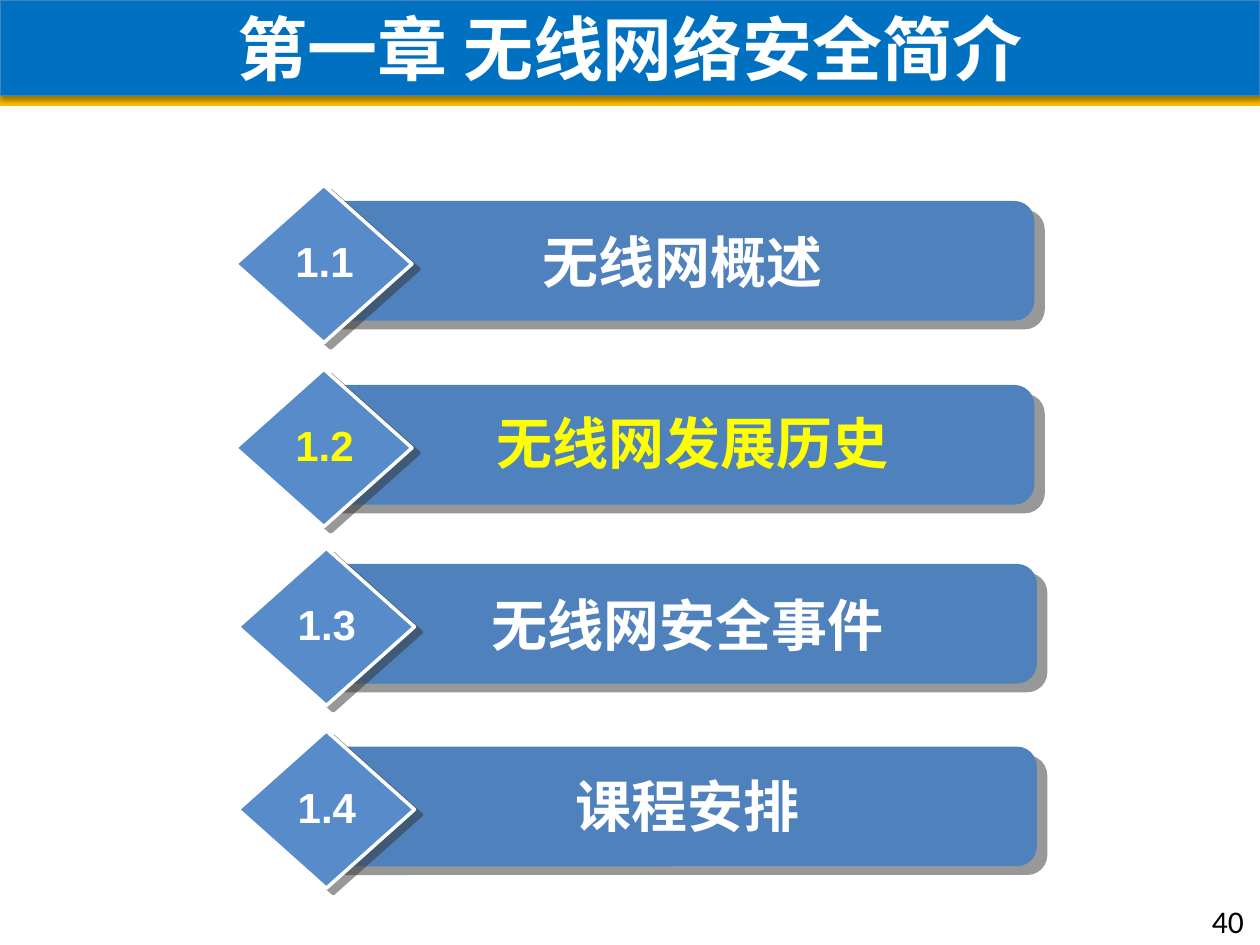
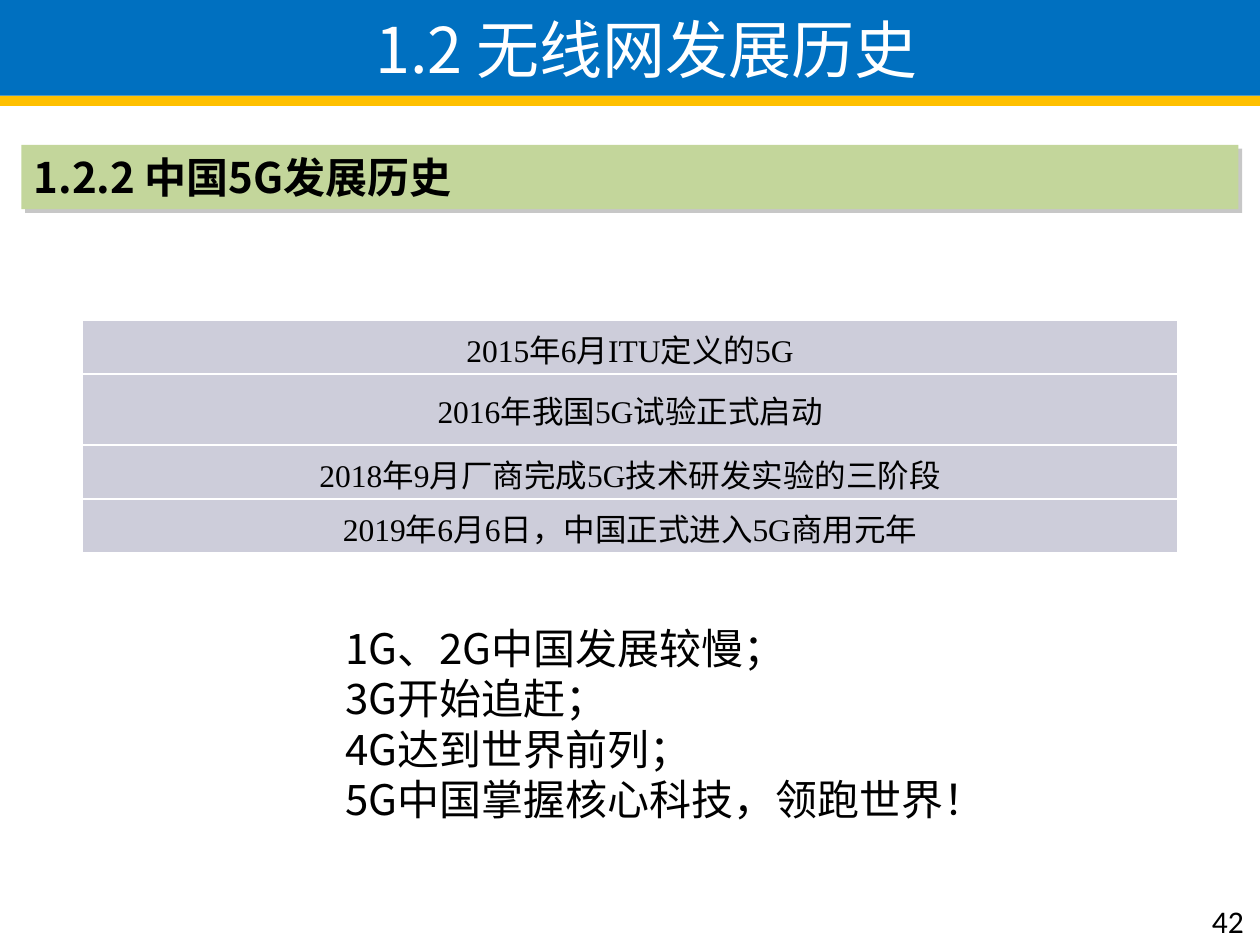
import pptx
import pptx.util
import pptx.dml.color
import pptx.enum.shapes
import pptx.enum.text
import pptx.oxml
import pptx.oxml.ns

COLORS = {
    "title": "0070C0", "title_edge": "4B7EBC", "band": "FFC000",
    "bar": "4F81BD", "diamond": "578BC9", "heading": "C3D69B",
    "cell": "CDCDDA", "white": "FFFFFF", "black": "000000",
    "current": "FFFF00", "shade": "333333", "gray": "808080",
}
CJK = "Noto Sans CJK SC"
KINDS = pptx.enum.shapes.MSO_SHAPE
ALIGN = pptx.enum.text.PP_ALIGN
MIDDLE = pptx.enum.text.MSO_ANCHOR.MIDDLE
NS = pptx.oxml.ns.nsdecls("a")

deck = pptx.Presentation()
deck.slide_width = pptx.util.Inches(10)
deck.slide_height = pptx.util.Inches(7.5)
COL = deck.slide_width / 100
ROW = deck.slide_height / 75


def write(holder, text, size=18, font=CJK, color="black", bold=False,
          align=ALIGN.LEFT, wrap=True, leading=None):
    frame = holder.text_frame
    frame.word_wrap = wrap
    for index, line in enumerate(text.split("\n")):
        paragraph = frame.paragraphs[0] if index == 0 else frame.add_paragraph()
        paragraph.alignment = align
        if leading:
            paragraph.line_spacing = pptx.util.Pt(leading)
        run = paragraph.add_run()
        run.text = line
        run.font.size = pptx.util.Pt(size)
        run.font.bold = bold
        run.font.name = font
        run.font.color.rgb = pptx.dml.color.RGBColor.from_string(COLORS[color])
        run.font._element.append(pptx.oxml.parse_xml(f'<a:ea {NS} typeface="{CJK}"/>'))


def place(slide, left, top, width, height, kind=None, fill=None, line=None, shadow=None):
    area = [int(v) for v in (left * COL, top * ROW, width * COL, height * ROW)]
    if kind is None:
        return slide.shapes.add_textbox(*area)
    shape = slide.shapes.add_shape(kind, *area)
    shape.fill.solid()
    shape.fill.fore_color.rgb = pptx.dml.color.RGBColor.from_string(COLORS[fill])
    if line:
        shape.line.color.rgb = pptx.dml.color.RGBColor.from_string(COLORS[line[0]])
        shape.line.width = pptx.util.Pt(line[1])
    else:
        shape.line.fill.background()
    shape.shadow.inherit = False
    if shadow:
        color, alpha, blur, distance, angle = shadow
        effects = shape._element.spPr.find(pptx.oxml.ns.qn("a:effectLst"))
        effects.append(pptx.oxml.parse_xml(
            f'<a:outerShdw {NS} blurRad="{int(blur * 12700)}" dist="{int(distance * 12700)}" '
            f'dir="{angle * 60000}" algn="ctr" rotWithShape="0"><a:srgbClr val="{COLORS[color]}">'
            f'<a:alpha val="{alpha * 1000}"/></a:srgbClr></a:outerShdw>'))
    return shape


pages = []
for title, size, bold, indent, number, edge, shadow in [
    ("第一章 无线网络安全简介", 40, True, 1, "40", ("title_edge", 0.75), ("black", 38, 3.1, 1.6, 90)),
    ("1.2 无线网发展历史", 36, False, 3.6, "42", None, None),
]:
    page = deck.slides.add_slide(deck.slide_layouts[6])
    place(page, 0, 7.6, 100, 0.8, KINDS.RECTANGLE, "band")
    header = place(page, 0, 0, 100, 7.6, KINDS.RECTANGLE, "title", edge, shadow)
    header.text_frame.vertical_anchor = MIDDLE
    header.text_frame.margin_left = int(indent * COL)
    write(header, title, size=size, color="white", bold=bold, align=ALIGN.CENTER)
    write(place(page, 95.2, 71.1, 4.7, 4), number, font="Calibri")
    pages.append(page)
agenda, history = pages

sections = [
    ("无线网概述", 18.7, 14.7, 54.2, "white"),
    ("无线网发展历史", 18.7, 29.3, 55, "current"),
    ("无线网安全事件", 18.9, 43.5, 54.6, "white"),
    ("课程安排", 18.9, 58, 54.6, "white"),
]
for index, (section, left, top, center, color) in enumerate(sections):
    place(agenda, left + 5.1, top + 1.25, 58.3, 9.5, KINDS.ROUNDED_RECTANGLE,
          "bar", shadow=("shade", 50, 0, 7.8, 40))
    place(agenda, left, top, 14, 12.5, KINDS.DIAMOND, "diamond", ("white", 2),
          ("shade", 50, 0, 5, 37))
    caption = place(agenda, center - 24, 17.5 + 14.4 * index, 48, 6.4)
    caption.text_frame.vertical_anchor = MIDDLE
    write(caption, section, size=32, font="Arial", color=color, bold=True, align=ALIGN.CENTER)
    write(place(agenda, left + 3.7, top + 3.5, 6.7, 5), f"1.{index + 1}", size=24,
          font="Arial", color=color, bold=True, align=ALIGN.CENTER, wrap=False)

heading = place(history, 1.7, 11.5, 96.6, 5.1, KINDS.RECTANGLE, "heading",
                shadow=("gray", 43, 0, 3, 45))
heading.text_frame.vertical_anchor = MIDDLE
write(heading, "1.2.2 中国5G发展历史", size=24, bold=True)

milestones = [
    ("2015年6月ITU定义的5G", 4.3),
    ("2016年我国5G试验正式启动", 5.6),
    ("2018年9月厂商完成5G技术研发实验的三阶段", 4.3),
    ("2019年6月6日，中国正式进入5G商用元年", 4.3),
]
timeline = history.shapes.add_table(
    len(milestones), 1, int(6.5 * COL), int(25.4 * ROW), int(87 * COL), int(18.5 * ROW)).table
timeline.first_row = False
timeline.horz_banding = False
for index, (milestone, height) in enumerate(milestones):
    timeline.rows[index].height = int(height * ROW)
    cell = timeline.cell(index, 0)
    cell.vertical_anchor = MIDDLE
    cell.fill.solid()
    cell.fill.fore_color.rgb = pptx.dml.color.RGBColor.from_string(COLORS["cell"])
    write(cell, milestone, font="Times New Roman", align=ALIGN.CENTER)
    for position, side in enumerate("LRTB"):
        cell._tc.tcPr.insert(position, pptx.oxml.parse_xml(
            f'<a:ln{side} {NS} w="12700"><a:solidFill><a:srgbClr val="{COLORS["white"]}"/>'
            f'</a:solidFill></a:ln{side}>'))

write(place(history, 26.4, 48.9, 55.9, 17.2),
      "1G、2G中国发展较慢；\n3G开始追赶；\n4G达到世界前列；\n5G中国掌握核心科技，领跑世界！",
      size=24, leading=28.8)

deck.save("out.pptx")
